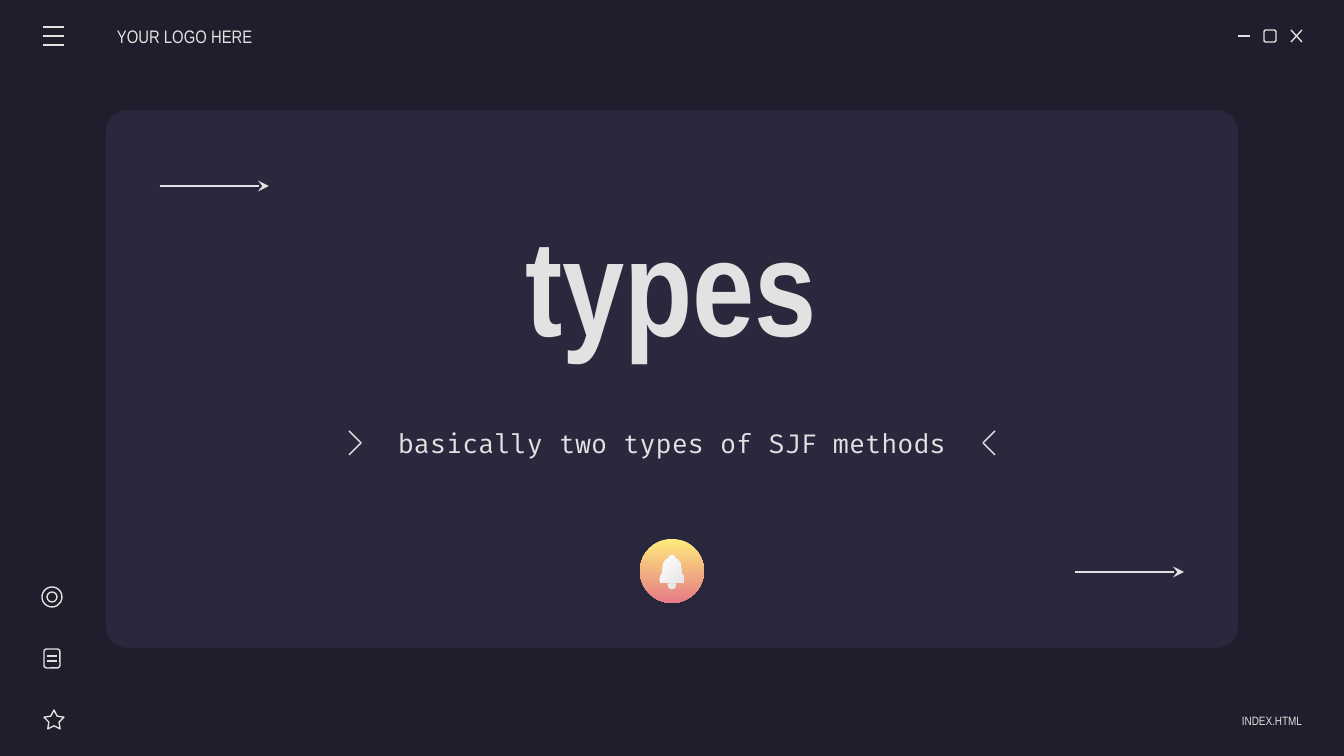
import dataclasses

import lxml.etree
import pptx
import pptx.dml.color
import pptx.enum.shapes
import pptx.enum.text
import pptx.oxml.ns
import pptx.util

PX = 914400 / 134.4
SHAPE = pptx.enum.shapes.MSO_SHAPE
ALIGN = pptx.enum.text.PP_ALIGN
qn = pptx.oxml.ns.qn


@dataclasses.dataclass(frozen=True)
class Theme:
    background: str = "1E1E2C"
    panel: str = "29283D"
    ink: str = "E2E2E2"
    white: str = "FFFFFF"
    badge_top: str = "FFEA7D"
    badge_bottom: str = "E57C85"
    display_font: str = "Arial Narrow"
    code_font: str = "Fira Code"
    title_size: float = 73
    subtitle_size: float = 14
    header_size: float = 9.7
    footer_size: float = 6.5
    stroke: float = 0.75


def emu(px):
    return round(px * PX)


def rgb(value):
    return pptx.dml.color.RGBColor.from_string(value)


def assign(target, values):
    for name, value in values.items():
        setattr(target, name, value)


def bezier(start, first, second, end, steps=8):
    """Points along a cubic curve, without its start."""
    points = []
    for step in range(1, steps + 1):
        t = step / steps
        weights = ((1 - t) ** 3, 3 * t * (1 - t) ** 2, 3 * t * t * (1 - t), t ** 3)
        points.append(tuple(sum(w * p[axis] for w, p in zip(weights, (start, first, second, end)))
                            for axis in (0, 1)))
    return points


def mirrored(half, centre):
    """Closed symmetric contour from its right half, given as offsets from centre."""
    return ([(centre + x, y) for x, y in half]
            + [(centre - x, y) for x, y in reversed(half)])


class Painter:
    def __init__(self, slide, theme):
        self.slide, self.theme = slide, theme
        fill = slide.background.fill
        fill.solid()
        fill.fore_color.rgb = rgb(theme.background)

    def stroke(self, line):
        line.color.rgb = rgb(self.theme.ink)
        line.width = pptx.util.Pt(self.theme.stroke)

    def paint(self, shape, fill=None, gradient=None, angle=0):
        """Fill with a colour or gradient; a shape given neither is outlined."""
        if gradient:
            shape.fill.gradient()
            shape.fill.gradient_angle = angle
            for stop, color in zip(shape.fill.gradient_stops, gradient):
                stop.color.rgb = rgb(color)
        elif fill:
            shape.fill.solid()
            shape.fill.fore_color.rgb = rgb(fill)
        else:
            shape.fill.background()
        if fill or gradient:
            shape.line.fill.background()
        else:
            self.stroke(shape.line)
        shape.shadow.inherit = False
        return shape

    def shape(self, kind, box, corner=None, **paint):
        shape = self.slide.shapes.add_shape(kind, *map(emu, box))
        if corner is not None:
            shape.adjustments[0] = corner
        return self.paint(shape, **paint)

    def outline(self, contours, close=True, **paint):
        scaled = [[(emu(x), emu(y)) for x, y in points] for points in contours]
        builder = self.slide.shapes.build_freeform(*scaled[0][0], scale=1.0)
        builder.add_line_segments(scaled[0][1:], close=close)
        for points in scaled[1:]:
            builder.move_to(*points[0])
            builder.add_line_segments(points[1:], close=close)
        return self.paint(builder.convert_to_shape(), **paint)

    def line(self, x1, y1, x2, y2, arrow=False):
        connector = self.slide.shapes.add_connector(
            pptx.enum.shapes.MSO_CONNECTOR.STRAIGHT, *map(emu, (x1, y1, x2, y2)))
        self.stroke(connector.line)
        properties = connector._element.spPr
        if arrow:
            lxml.etree.SubElement(properties.find(qn("a:ln")), qn("a:tailEnd"), type="stealth")
        lxml.etree.SubElement(properties, qn("a:effectLst"))

    def soft_shadow(self, shape):
        effects = shape._element.spPr.find(qn("a:effectLst"))
        shadow = lxml.etree.SubElement(
            effects, qn("a:outerShdw"), blurRad=str(pptx.util.Pt(5)),
            dist=str(pptx.util.Pt(1.5)), dir="5400000", algn="bl", rotWithShape="0")
        color = lxml.etree.SubElement(shadow, qn("a:srgbClr"), val=self.theme.background)
        lxml.etree.SubElement(color, qn("a:alpha"), val="30000")

    def typeset(self, holder, text, box, font, size, inset=0, bold=False, **paragraph_format):
        assign(holder, dict(zip(("left", "top", "width", "height"), map(emu, box))))
        frame = holder.text_frame
        sides = ("margin_left", "margin_top", "margin_right", "margin_bottom")
        assign(frame, {"word_wrap": True,
                       "auto_size": pptx.enum.text.MSO_AUTO_SIZE.NONE,
                       "vertical_anchor": pptx.enum.text.MSO_ANCHOR.MIDDLE,
                       **dict.fromkeys(sides, emu(inset))})
        paragraph = frame.paragraphs[0]
        assign(paragraph, paragraph_format)
        run = paragraph.add_run()
        run.text = text
        assign(run.font, {"name": font, "size": pptx.util.Pt(size), "bold": bold})
        run.font.color.rgb = rgb(self.theme.ink)

    def title(self, text, box, **style):
        self.typeset(self.slide.shapes.title, text, box, **style)

    def text(self, text, box, **style):
        self.typeset(self.slide.shapes.add_textbox(0, 0, 0, 0), text, box, **style)


def draw_header(painter):
    theme = painter.theme
    for y in range(27, 46, 9):
        painter.line(43, y, 64, y)
    painter.text("YOUR LOGO HERE", (117, 16, 157, 40),
                 font=theme.display_font, size=theme.header_size)
    painter.line(1238, 36, 1250, 36)
    painter.shape(SHAPE.ROUNDED_RECTANGLE, (1264, 30, 12, 12))
    painter.line(1291, 30, 1302, 42)
    painter.line(1302, 30, 1291, 42)


def draw_sidebar(painter):
    for inset in (0, 5):
        side = 20 - 2 * inset
        painter.shape(SHAPE.OVAL, (42 + inset, 587 + inset, side, side))
    painter.shape(SHAPE.ROUNDED_RECTANGLE, (44, 649, 16, 19))
    for y in (656, 661):
        painter.line(47, y, 57, y)
    painter.shape(SHAPE.STAR_5_POINT, (44, 710, 20, 19), corner=0.254)


def draw_bell(painter):
    theme = painter.theme
    badge = painter.shape(SHAPE.OVAL, (640, 539, 64, 64), angle=270,
                          gradient=(theme.badge_top, theme.badge_bottom))
    painter.soft_shadow(badge)
    body = [(0, 555),
            *bezier((0, 555), (2, 555), (3, 556), (3, 558)),
            *bezier((3, 558), (7, 559), (9, 563), (9, 567)),
            *bezier((9, 573), (11, 574), (12, 577), (12, 579)),
            *bezier((12, 579), (12, 581), (12, 583), (10, 583))]
    clapper = [(4, 584), *bezier((4, 584), (4, 587), (2, 589), (0, 589))]
    painter.outline([mirrored(half, 672) for half in (body, clapper)],
                    gradient=(theme.white, theme.ink), angle=315)


def main():
    deck = pptx.Presentation()
    assign(deck, {"slide_width": emu(1344), "slide_height": emu(756)})
    theme = Theme()
    painter = Painter(deck.slides.add_slide(deck.slide_layouts[5]), theme)

    painter.shape(SHAPE.ROUNDED_RECTANGLE, (106, 110, 1132, 538), corner=0.04, fill=theme.panel)
    draw_header(painter)
    draw_sidebar(painter)
    painter.text("INDEX.HTML", (1158, 713, 144, 14), font=theme.display_font,
                 size=theme.footer_size, alignment=ALIGN.RIGHT, line_spacing=1.15)

    painter.title("types", (263, 187, 816, 191), font=theme.display_font,
                  size=theme.title_size, inset=13, bold=True, alignment=ALIGN.CENTER)
    painter.text("basically two types of SJF methods", (360, 378, 624, 130),
                 font=theme.code_font, size=theme.subtitle_size, inset=13,
                 alignment=ALIGN.CENTER)
    for back, tip in ((349, 361), (995, 983)):
        painter.outline([[(back, 431), (tip, 443), (back, 455)]], close=False)
    draw_bell(painter)
    for x, y in ((160, 186), (1075, 572)):
        painter.line(x, y, x + 109, y, arrow=True)

    # The panel lies behind the title placeholder.
    tree = painter.slide.shapes._spTree
    tree.append(painter.slide.shapes.title._element)
    deck.save("out.pptx")


if __name__ == "__main__":
    main()
